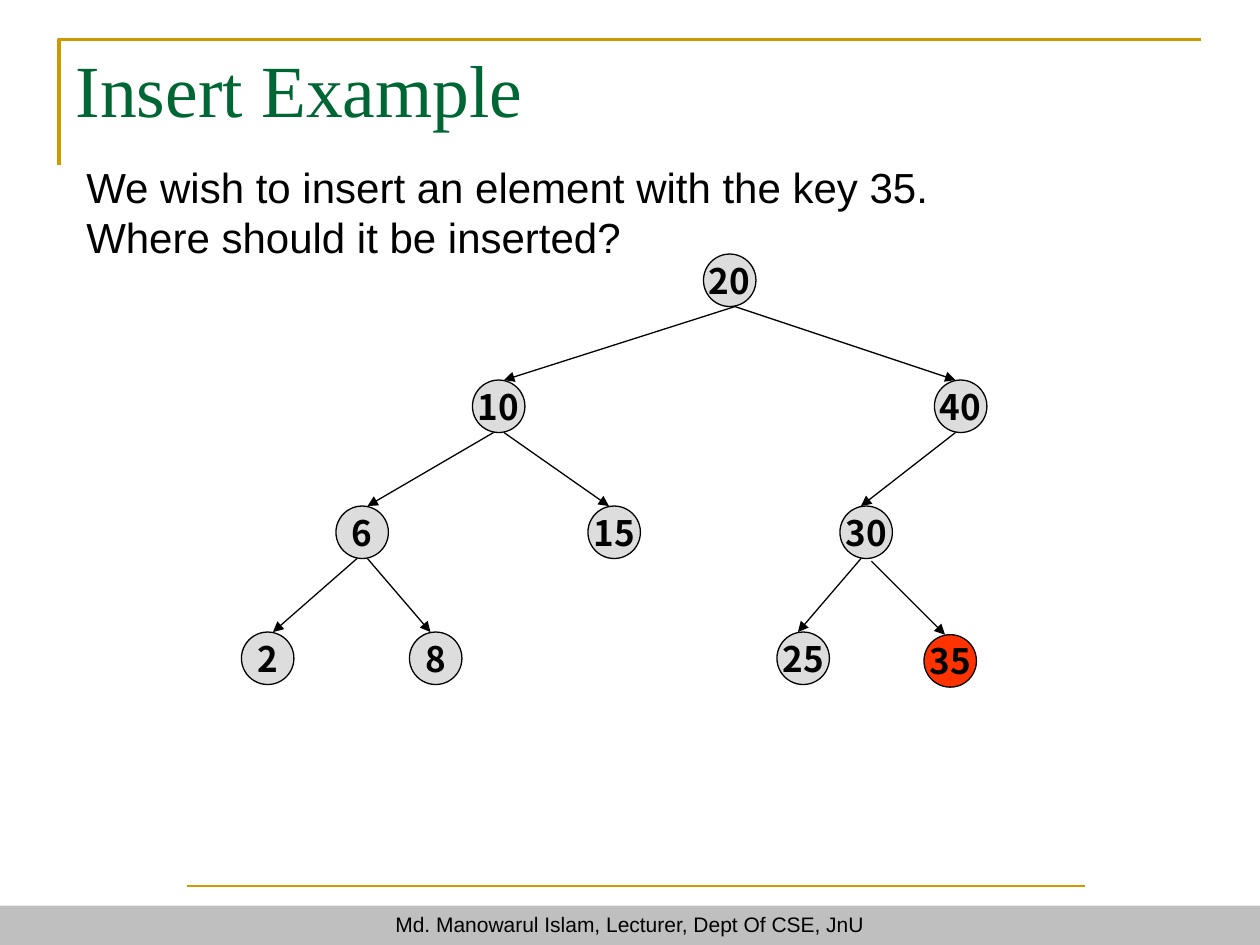
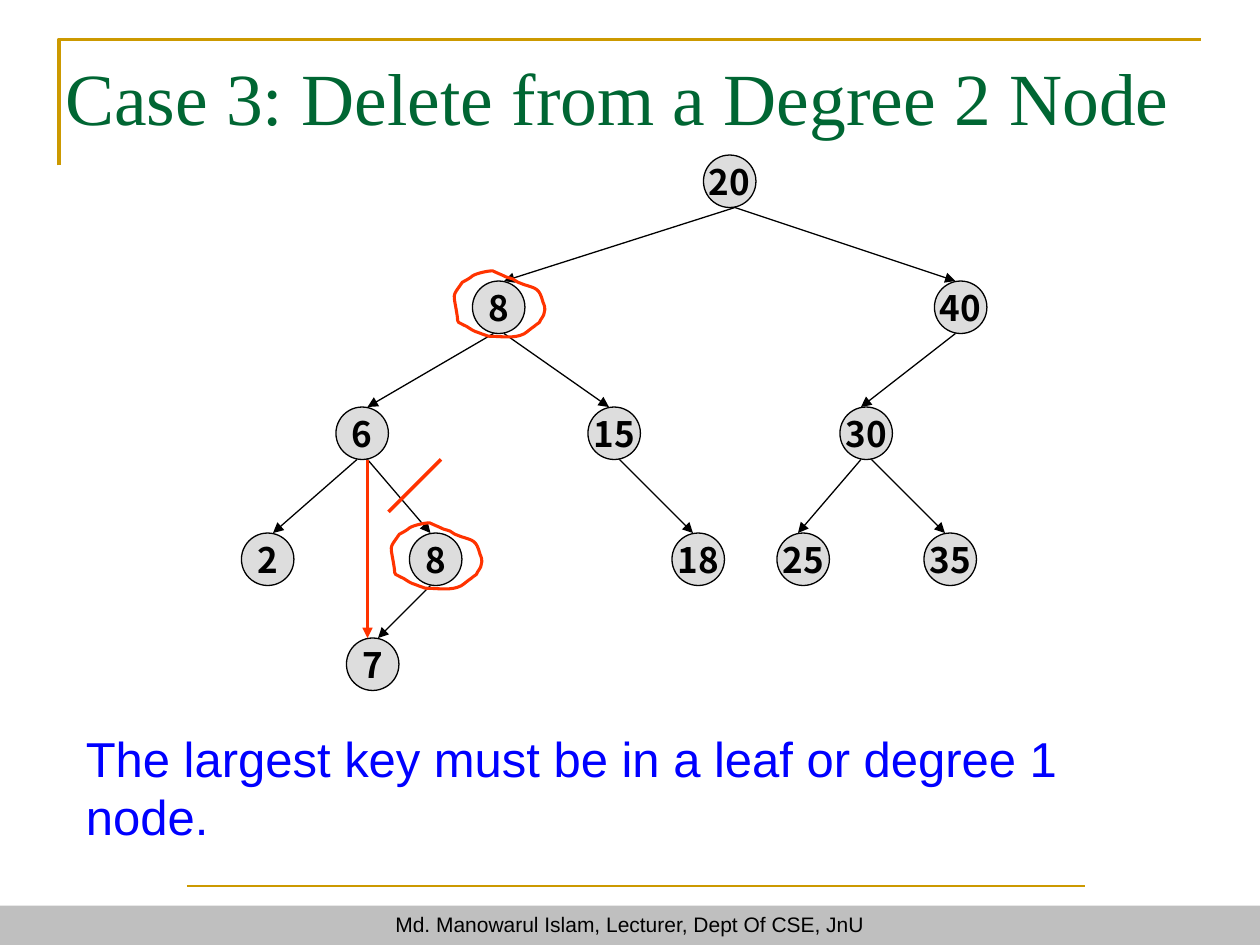
from dataclasses import dataclass, replace

from lxml.etree import SubElement
from pptx import Presentation
from pptx.dml.color import RGBColor
from pptx.enum.shapes import MSO_CONNECTOR, MSO_SHAPE
from pptx.enum.text import MSO_ANCHOR, MSO_AUTO_SIZE, PP_ALIGN
from pptx.oxml.ns import qn
from pptx.util import Pt

GOLD = RGBColor(0xCC, 0x99, 0x00)
GREEN = RGBColor(0x00, 0x66, 0x33)
BAND_GRAY = RGBColor(0xBF, 0xBF, 0xBF)
NODE_GRAY = RGBColor(0xDD, 0xDD, 0xDD)
RED = RGBColor(0xFF, 0x33, 0x00)
BLUE = RGBColor(0x00, 0x00, 0xFF)
BLACK = RGBColor(0x00, 0x00, 0x00)

BODY_FONT = "Arial"
TITLE_FONT = "Times New Roman"
NODE_FONT = "Noto Sans CJK KR"
FOOTER = "Md. Manowarul Islam, Lecturer, Dept Of CSE, JnU"

DIAMETER = 30
EDGE_SHIFT = 3
ROW_OFFSETS = (0, 72, 144, 216, 276)
NODE_LEFTS = {
    "": 402, "l": 270, "r": 534, "ll": 192, "lr": 336, "rl": 480,
    "lll": 138, "llr": 234, "lrr": 384, "rll": 444, "rlr": 528, "llrl": 198,
}

LOOP_START = (11.5, -5.8)
LOOP_CURVES = (
    ((8.6, -5.8), (2.2, -4.4), (0, -2.9)),
    ((-1.4, -1.5), (-5.8, 0.7), (-5.8, 0.7)),
    ((-12.2, 10), (-10.8, 5.7), (-8.6, 20.8)),
    ((-8.6, 22.3), (-8.6, 23), (-7.9, 23.7)),
    ((-7.2, 24.4), (-5.8, 24.4), (-5, 25.2)),
    ((-2.9, 25.9), (-0.7, 28), (1.4, 28.8)),
    ((3.6, 29.5), (5, 30.2), (7.2, 30.9)),
    ((7.9, 31.6), (10.1, 31.6), (10.1, 31.6)),
    ((16.6, 31.6), (23.8, 33.1), (29.5, 30.2)),
    ((31.7, 28.8), (33.1, 27.3), (35.3, 25.9)),
    ((36, 25.2), (38.2, 23.7), (38.2, 23.7)),
    ((38.9, 21.6), (41, 20.1), (41, 18)),
    ((41.8, 15.8), (41, 13.6), (40.3, 12.2)),
    ((38.2, 4.3), (36.7, 4.3), (29.5, 2.1)),
    ((28.1, 1.4), (27.4, 1.4), (25.9, 0.7)),
    ((22.3, -1.5), (24.5, -0.8), (19.4, -2.2)),
    ((16.6, -3.6), (14.4, -4.4), LOOP_START),
)


@dataclass(frozen=True)
class Box:
    left: float
    top: float
    width: float
    height: float

    def lengths(self) -> tuple:
        return Pt(self.left), Pt(self.top), Pt(self.width), Pt(self.height)


@dataclass(frozen=True)
class Node:
    """A tree node whose slot spells the l/r steps from the root."""

    slot: str
    key: str
    fill: RGBColor = NODE_GRAY
    drop: float = 0


@dataclass(frozen=True)
class TextStyle:
    font: str
    size: float
    color: RGBColor
    bold: bool = False


TITLE_STYLE = TextStyle(TITLE_FONT, 42, GREEN)
FOOTER_STYLE = TextStyle(BODY_FONT, 12, BLACK)
NODE_STYLE = TextStyle(NODE_FONT, 20, BLACK, True)

BASE_TREE = (
    Node("", "20"), Node("r", "40"), Node("l", "10"), Node("ll", "6"),
    Node("lll", "2"), Node("llr", "8"), Node("lr", "15"), Node("rl", "30"),
    Node("rll", "25"),
)
INSERT_TREE = (*BASE_TREE, Node("rlr", "35", RED, 1.5))
DELETE_TREE = (
    *(replace(n, key="8") if n.slot == "l" else n for n in BASE_TREE),
    Node("rlr", "35"), Node("llrl", "7"), Node("lrr", "18"),
)


def write(tf, lines: list[str], style: TextStyle, align=PP_ALIGN.LEFT) -> None:
    tf.text = "\n".join(lines)
    for p in tf.paragraphs:
        p.alignment = align
        for r in p.runs:
            r.font.name = style.font
            r.font.size = Pt(style.size)
            r.font.bold = style.bold
            r.font.color.rgb = style.color


def add_line(shapes, start: tuple, end: tuple, color: RGBColor,
             width: float, arrow: bool = False) -> None:
    ends = [Pt(v) for v in (*start, *end)]
    line = shapes.add_connector(MSO_CONNECTOR.STRAIGHT, *ends)
    line.line.color.rgb = color
    line.line.width = Pt(width)
    sp_pr = line.element.spPr
    if arrow:
        SubElement(sp_pr.find(qn("a:ln")), qn("a:tailEnd"), type="triangle")
    SubElement(sp_pr, qn("a:effectLst"))


def add_outline(shapes, points: list, color: RGBColor, width: float, close: bool):
    start, *rest = [(Pt(x), Pt(y)) for x, y in points]
    builder = shapes.build_freeform(*start)
    builder.add_line_segments(rest, close=close)
    sp = builder.convert_to_shape()
    sp.shadow.inherit = False
    sp.fill.background()
    sp.line.color.rgb = color
    sp.line.width = Pt(width)
    return sp


def curve_segments(sp) -> None:
    segments = list(sp.element.iter(qn("a:lnTo")))
    for i in range(0, len(segments) - 2, 3):
        first, *others = segments[i:i + 3]
        first.tag = qn("a:cubicBezTo")
        for segment in others:
            first.append(segment[0])
            segment.getparent().remove(segment)


def add_text(s, box: Box, lines: list[str], style: TextStyle, wrap: bool) -> None:
    tf = s.shapes.add_textbox(*box.lengths()).text_frame
    tf.word_wrap = wrap
    write(tf, lines, style)


def decorate_layout(layout, s) -> None:
    for ph in list(layout.placeholders)[1:]:
        ph.element.getparent().remove(ph.element)

    add_line(s.shapes, (106.75, 506.2), (620, 506.2), GOLD, 1)
    band = s.shapes.add_shape(MSO_SHAPE.RECTANGLE, *Box(0, 517.5, 720, 22.5).lengths())
    band.shadow.inherit = False
    band.fill.solid()
    band.fill.fore_color.rgb = BAND_GRAY
    band.line.fill.background()
    band.text_frame.vertical_anchor = MSO_ANCHOR.TOP
    write(band.text_frame, [FOOTER], FOOTER_STYLE, PP_ALIGN.CENTER)
    add_outline(s.shapes, [(33.75, 94.5), (33.75, 22.5), (686.25, 22.5)], GOLD, 2, False)

    for sp in list(s.shapes):
        if not sp.is_placeholder:
            layout.element.cSld.spTree.append(sp.element)


def add_titled_slide(prs, title: str, title_box: Box):
    layout = prs.slide_layouts[5]
    s = prs.slides.add_slide(layout)
    if len(prs.slides) == 1:
        decorate_layout(layout, s)
    sp = s.shapes.title
    sp.left, sp.top, sp.width, sp.height = title_box.lengths()
    tf = sp.text_frame
    tf.auto_size = MSO_AUTO_SIZE.NONE
    tf.vertical_anchor = MSO_ANCHOR.TOP
    write(tf, [title], TITLE_STYLE)
    return s


def node_corner(slot: str, tree_top: float) -> tuple:
    return NODE_LEFTS[slot], tree_top + ROW_OFFSETS[len(slot)]


def edge_ends(slot: str, tree_top: float) -> tuple:
    parent = slot[:-1]
    px, py = node_corner(parent, tree_top)
    x, y = node_corner(slot, tree_top)
    leaves_right = not parent or slot.endswith("r")
    enters_right = slot.startswith("l") and slot.endswith("l")
    start_x = px + DIAMETER / 2 + (EDGE_SHIFT if leaves_right else -EDGE_SHIFT)
    end_x = x + DIAMETER / 2 + (EDGE_SHIFT if enters_right else -EDGE_SHIFT)
    return (start_x, py + DIAMETER), (end_x, y)


def add_node(shapes, node: Node, tree_top: float) -> None:
    top = tree_top + node.drop
    x, y = node_corner(node.slot, top)
    sp = shapes.add_shape(MSO_SHAPE.OVAL, *Box(x, y, DIAMETER, DIAMETER).lengths())
    sp.shadow.inherit = False
    sp.fill.solid()
    sp.fill.fore_color.rgb = node.fill
    sp.line.color.rgb = BLACK
    sp.line.width = Pt(0.75)
    tf = sp.text_frame
    tf.word_wrap = False
    tf.vertical_anchor = MSO_ANCHOR.MIDDLE
    write(tf, [node.key], NODE_STYLE, PP_ALIGN.CENTER)
    if node.slot:
        add_line(shapes, *edge_ends(node.slot, top), BLACK, 0.75, True)


def add_tree(s, nodes: tuple, tree_top: float) -> None:
    shapes = s.shapes.add_group_shape().shapes
    for node in nodes:
        add_node(shapes, node, tree_top)


def add_loop(s, slot: str, tree_top: float) -> None:
    x, y = node_corner(slot, tree_top)
    offsets = [LOOP_START, *(point for curve in LOOP_CURVES for point in curve)]
    points = [(x + dx, y + dy) for dx, dy in offsets]
    curve_segments(add_outline(s.shapes, points, RED, 1.75, True))


def build_insert_slide(prs) -> None:
    s = add_titled_slide(prs, "Insert Example", Box(36, 21.6, 648, 90))
    question = [
        "We wish to insert an element with the key 35.",
        "Where should it be inserted?",
    ]
    add_text(s, Box(42.25, 88.5, 496, 65), question,
             TextStyle(BODY_FONT, 24, BLACK), False)
    add_tree(s, INSERT_TREE, 145.2)


def build_delete_slide(prs) -> None:
    tree_top = 88.6
    s = add_titled_slide(prs, "Case 3: Delete from a Degree 2 Node",
                         Box(30, 26, 660, 48))
    add_tree(s, DELETE_TREE, tree_top)
    for slot in ("l", "llr"):
        add_loop(s, slot, tree_top)
    add_text(s, Box(42, 412.5, 642, 75),
             ["The largest key must be in a leaf or degree 1 node."],
             TextStyle(BODY_FONT, 28, BLUE), True)
    start, _ = edge_ends("llr", tree_top)
    add_line(s.shapes, start, (start[0], tree_top + ROW_OFFSETS[4]), RED, 1.5, True)
    add_line(s.shapes, (222, 292.5), (252, 262.5), RED, 2)


def main() -> None:
    prs = Presentation()
    prs.slide_width, prs.slide_height = Pt(720), Pt(540)
    build_insert_slide(prs)
    build_delete_slide(prs)
    prs.save("out.pptx")


if __name__ == "__main__":
    main()
